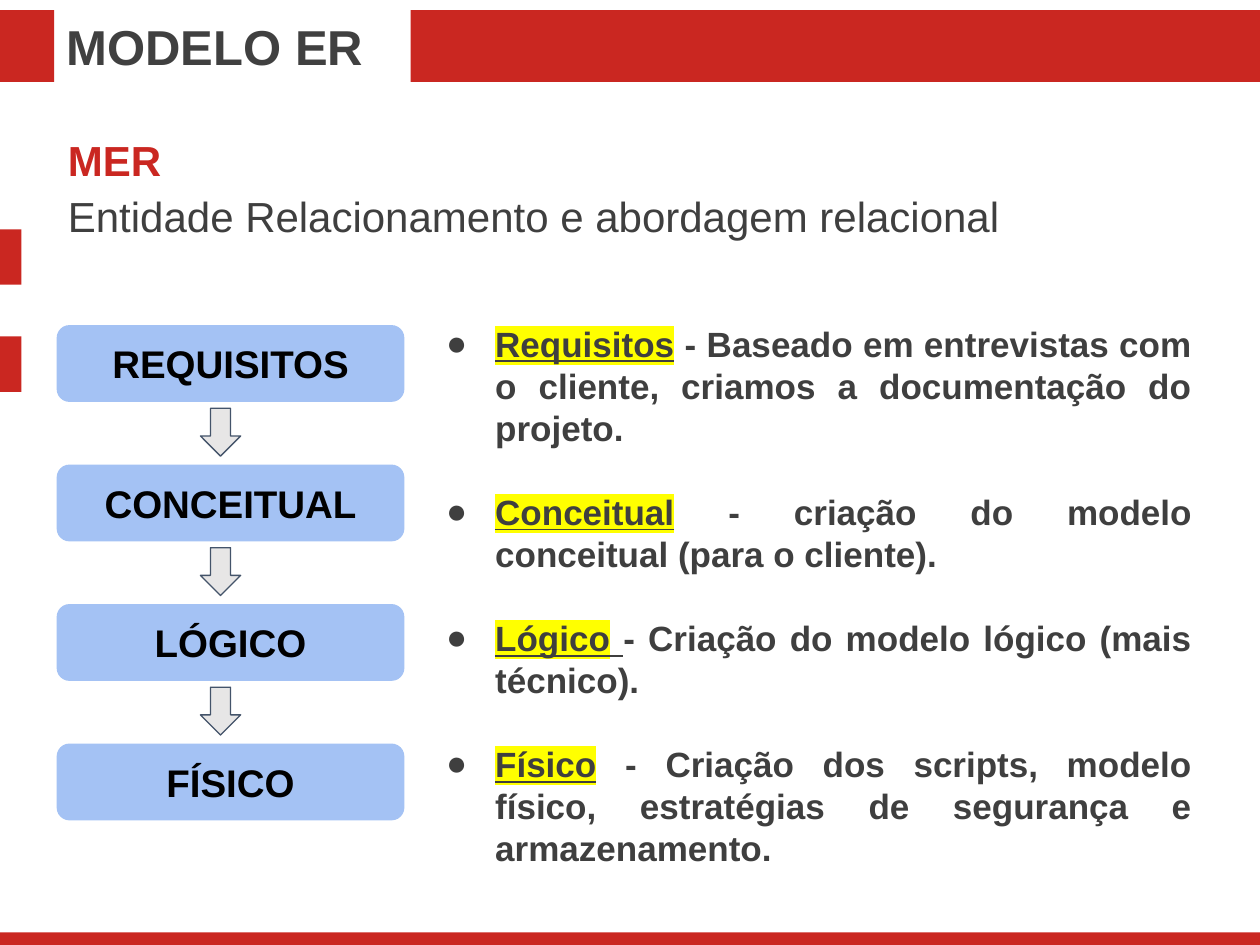
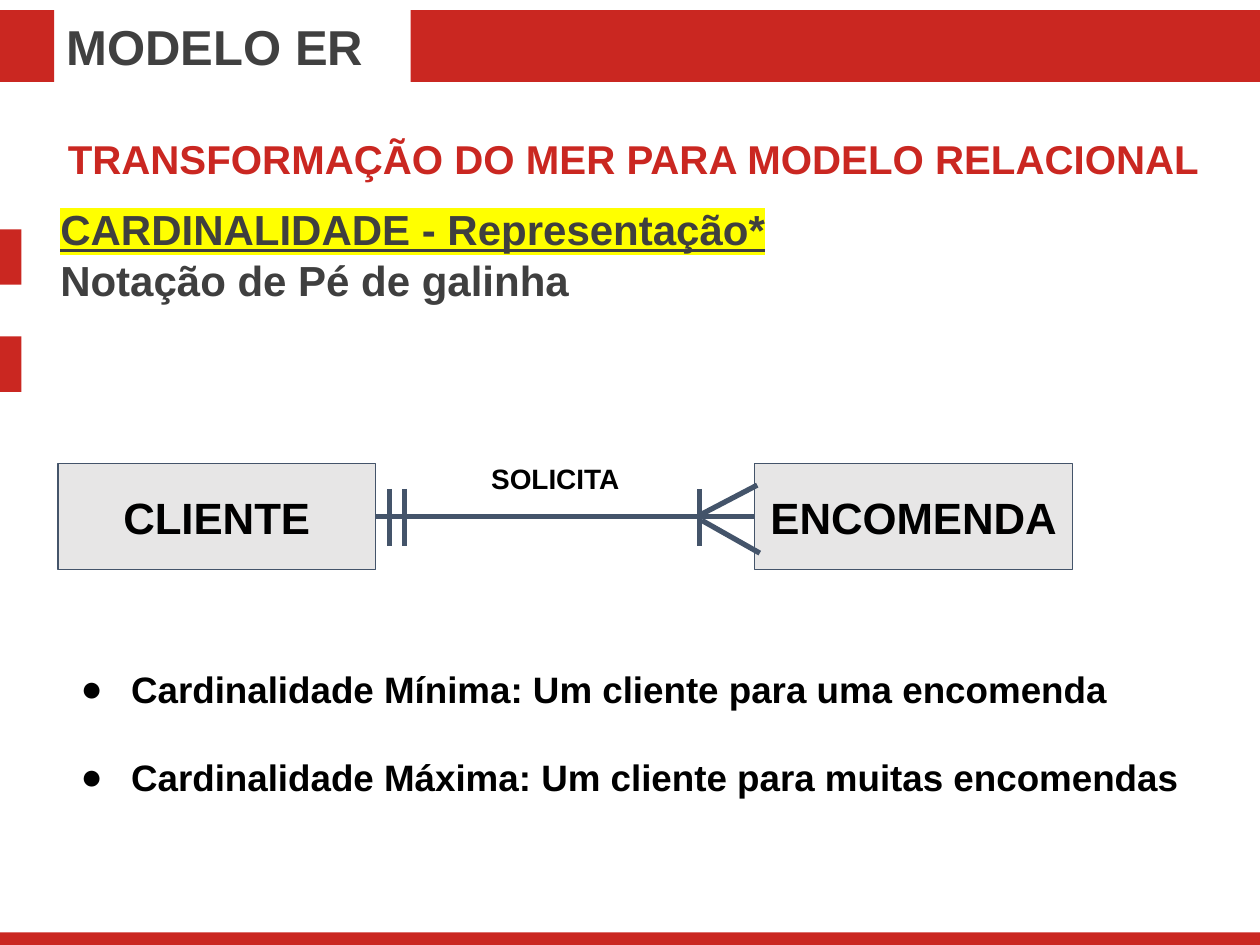
from pptx import Presentation
from pptx.util import Inches, Pt
from pptx.dml.color import RGBColor
from pptx.enum.shapes import MSO_SHAPE as Shape, MSO_CONNECTOR as Link
from pptx.enum.text import PP_ALIGN as Align, MSO_ANCHOR as Anchor, MSO_AUTO_SIZE as Fit
from pptx.oxml.ns import qn
from lxml.etree import SubElement as sub

HUES = {"red": "CA2721", "title": "404040", "text": "3F3F3F", "black": "000000",
        "mark": "FFFF00", "blue": "A4C2F4", "gray": "E7E6E6", "navy": "44546A"}
FONT = "Arial"
COLS, ROWS = 100, 75  # grid over a slide of 10 x 7.5 inches
WIDE, HIGH = Inches(10), Inches(7.5)

# Grid boxes: left, top, width, height
TITLE = (4.3, 0.8, 30.8, 5.7)
BANDS = [(0, 74, 100, 1), (0, 0.8, 4.3, 5.7), (32.6, 0.8, 67.4, 5.7),
         (-1.5, 18.2, 3.2, 4.4), (-1.5, 26.7, 3.2, 4.4)]

STEPS = ["REQUISITOS", "CONCEITUAL", "LÓGICO", "FÍSICO"]
# Each run is its text and its marks: u underlined, h highlighted
NOTES = [
    [("Requisitos", "uh"),
     (" - Baseado em entrevistas com o cliente, criamos a documentação do projeto.", "")],
    [("Conceitual", "uh"), (" - criação do modelo conceitual (para o cliente).", "")],
    [("Lógico", "uh"), (" ", "u"), ("- Criação do modelo lógico (mais técnico).", "")],
    [("Físico", "uh"),
     (" - Criação dos scripts, modelo físico, estratégias de segurança e armazenamento.", "")],
]
LIMITS = [[("Cardinalidade Mínima: Um cliente para uma encomenda", "")],
          [("Cardinalidade Máxima: Um cliente para muitas encomendas", "")]]


def hue(name):
    return RGBColor.from_string(HUES[name])


def grid(x, y):
    return round(x * WIDE / COLS), round(y * HIGH / ROWS)


def area(box):
    return grid(*box[:2]) + grid(*box[2:])


def style(par, size, color, bold=True, align=Align.LEFT):
    par.alignment = align
    font = par.font
    font.name, font.size, font.bold = FONT, Pt(size), bold
    font.color.rgb = hue(color)


def add_runs(par, runs):
    for text, marks in runs:
        run = par.add_run()
        run.text = text
        if "u" in marks:
            run.font.underline = True
        if "h" in marks:
            light = sub(run.font._element, qn("a:highlight"))
            sub(light, qn("a:srgbClr"), val=HUES["mark"])


def set_frame(frame, pad=0.05):
    frame.word_wrap = True
    frame.auto_size = Fit.NONE
    frame.vertical_anchor = Anchor.TOP
    frame.margin_left = frame.margin_right = Inches(0.1)
    frame.margin_top = frame.margin_bottom = Inches(pad)


def move(shape, box):
    shape.left, shape.top, shape.width, shape.height = area(box)


def add_text(slide, box, lines, size, color, bold=True, align=Align.LEFT, pad=0.05):
    frame = slide.shapes.add_textbox(*area(box)).text_frame
    set_frame(frame, pad)
    for i, runs in enumerate(lines):
        par = frame.add_paragraph() if i else frame.paragraphs[0]
        add_runs(par, runs)
        style(par, size, color, bold, align)


def add_shape(slide, kind, box, fill, line=None, text="", size=22):
    shape = slide.shapes.add_shape(kind, *area(box))
    shape.shadow.inherit = False
    shape.fill.solid()
    shape.fill.fore_color.rgb = hue(fill)
    if line:
        shape.line.color.rgb = hue(line)
        shape.line.width = Pt(0.75)
    else:
        shape.line.fill.background()
    if text:
        frame = shape.text_frame
        set_frame(frame, 0.1)
        frame.vertical_anchor = Anchor.MIDDLE
        par = frame.paragraphs[0]
        par.text = text
        style(par, size, "black", align=Align.CENTER)
    return shape


def add_line(slide, start, end):
    line = slide.shapes.add_connector(Link.STRAIGHT, *grid(*start), *grid(*end))
    line.line.color.rgb = hue("navy")
    line.line.width = Pt(3)
    sub(line._element.spPr, qn("a:effectLst"))
    return line


def fill_list(slide, box, items, size, color, hang, gap, align=Align.LEFT, pad=0.05):
    body = slide.placeholders[1]
    move(body, box)
    frame = body.text_frame
    set_frame(frame, pad)
    for i, runs in enumerate(items):
        par = frame.add_paragraph() if i else frame.paragraphs[0]
        add_runs(par, runs)
        props = par._p.get_or_add_pPr()
        props.set("marL", str(Inches(0.5)))
        props.set("indent", str(-Inches(hang)))
        sub(sub(props, qn("a:buClr")), qn("a:srgbClr"), val=HUES[color])
        sub(props, qn("a:buChar"), char="●")
        par.space_before = Pt(gap if i else 0)
        style(par, size, color, align=align)


def add_slide(deck):
    """Start a slide with the shared title and red bands."""
    slide = deck.slides.add_slide(deck.slide_layouts[1])
    title = slide.shapes.title
    move(title, TITLE)
    set_frame(title.text_frame)
    par = title.text_frame.paragraphs[0]
    par.text = "MODELO ER"
    style(par, 28, "title")
    for band in BANDS:
        add_shape(slide, Shape.RECTANGLE, band, "red")
    return slide


def model_slide(deck):
    slide = add_slide(deck)
    add_text(slide, (4.4, 10.2, 91.3, 5), [[("MER", "")]], 24, "red")
    add_text(slide, (4.4, 14.6, 91.2, 9.4),
             [[("Entidade Relacionamento e abordagem relacional", "")]],
             24, "text", bold=False, align=Align.JUSTIFY)
    fill_list(slide, (33.3, 25.1, 62.3, 39), NOTES, 20, "text", 0.39, 24, Align.JUSTIFY)
    # Stack of steps with arrows between
    for i, step in enumerate(STEPS):
        top = 25.8 + 11.07 * i
        add_shape(slide, Shape.ROUNDED_RECTANGLE, (4.5, top, 27.6, 6.1), "blue", text=step)
        if i < len(STEPS) - 1:
            add_shape(slide, Shape.DOWN_ARROW, (15.9, top + 6.6, 3.2, 3.8), "gray", "navy")


def crow_slide(deck):
    slide = add_slide(deck)
    add_text(slide, (4.4, 10.2, 93.7, 5),
             [[("TRANSFORMAÇÃO DO MER PARA MODELO RELACIONAL", "")]], 23, "red")
    add_text(slide, (3.8, 15.7, 91.2, 5),
             [[("CARDINALIDADE - Representação*", "uh")], [("Notação de Pé de galinha", "")]],
             24, "text", align=Align.JUSTIFY)
    # Entities and their relation
    client, order = [
        add_shape(slide, Shape.RECTANGLE, (x, 36.8, 25.2, 8.4), "gray", "navy", name, 25)
        for x, name in [(4.6, "CLIENTE"), (59.9, "ENCOMENDA")]]
    link = add_line(slide, (29.8, 41), (59.9, 41))
    link.begin_connect(client, 3)
    link.end_connect(order, 1)
    # Crow's foot toes, then the upright bars
    add_line(slide, (55.7, 40.8), (60.1, 38.5))
    add_line(slide, (60.3, 43.9), (55.7, 41.3))
    for x in (30.9, 32.1, 55.5):
        add_line(slide, (x, 38.8), (x, 43.3))
    add_text(slide, (38, 35.6, 13.8, 4.7), [[("SOLICITA", "")]], 16, "black", pad=0.1)
    fill_list(slide, (4.4, 51.9, 91.2, 12.6), LIMITS, 21, "black", 0.4, 25, pad=0.1)


def main():
    deck = Presentation()
    deck.slide_width, deck.slide_height = WIDE, HIGH
    model_slide(deck)
    crow_slide(deck)
    deck.save("out.pptx")


if __name__ == "__main__":
    main()
